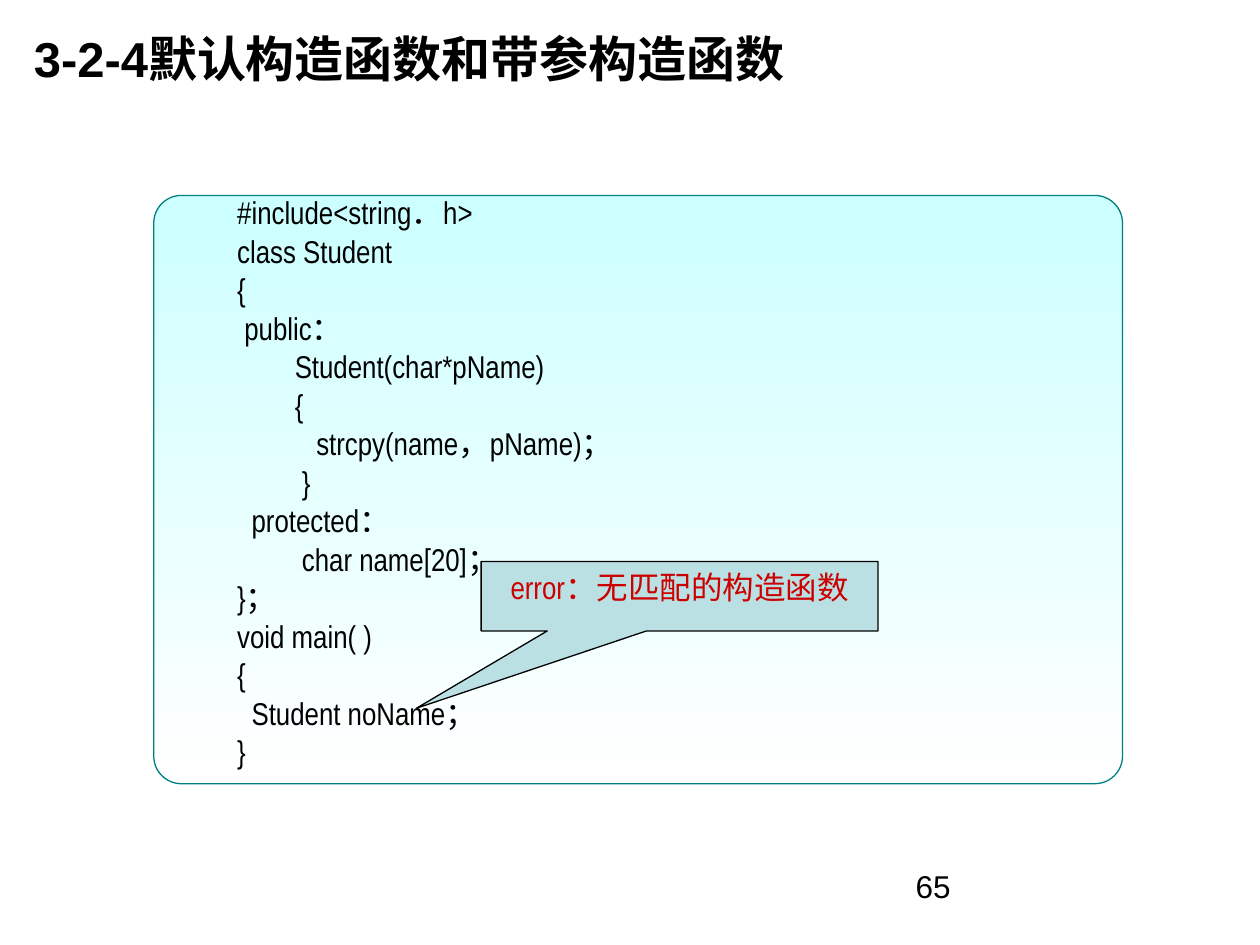
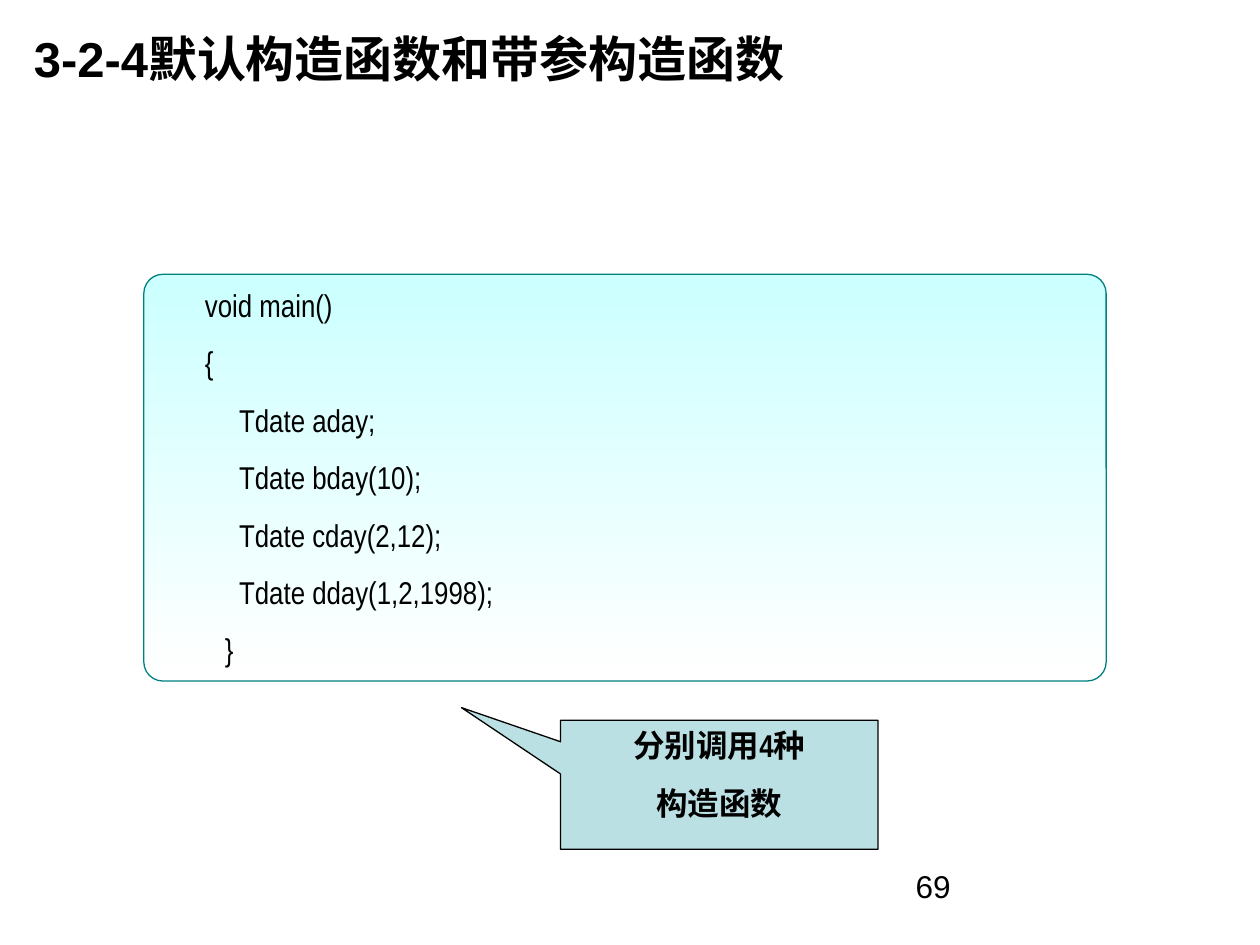
from pptx import Presentation
from pptx.dml.color import RGBColor
from pptx.enum.shapes import MSO_SHAPE
from pptx.enum.text import MSO_ANCHOR, MSO_AUTO_SIZE, PP_ALIGN
from pptx.util import Cm, Pt

ROUNDED = MSO_SHAPE.ROUNDED_RECTANGLE
CALLOUT = MSO_SHAPE.RECTANGULAR_CALLOUT
TOP, MIDDLE = MSO_ANCHOR.TOP, MSO_ANCHOR.MIDDLE
LEFT, CENTER = PP_ALIGN.LEFT, PP_ALIGN.CENTER
NO_FIT, GROW = MSO_AUTO_SIZE.NONE, MSO_AUTO_SIZE.SHAPE_TO_FIT_TEXT

BLACK = RGBColor(0x00, 0x00, 0x00)
WHITE = RGBColor(0xFF, 0xFF, 0xFF)
RED = RGBColor(0xCC, 0x00, 0x00)
TEAL = RGBColor(0x00, 0x80, 0x80)
PALE_CYAN = RGBColor(0xCC, 0xFF, 0xFF)
PALE_BLUE = RGBColor(0xBB, 0xE0, 0xE3)

TITLE = "3-2-4默认构造函数和带参构造函数"
SPACE_BEFORE = Pt(11.2)
CODE_MARGIN = 1.27
COLUMN = 0.145

SLIDES = [
    {
        "number": "65",
        "code_box": (3.1, 3.94, 19.53, 11.86),
        "line_spacing": 0.5,
        "code": [
            (0, "#include<string．h>"),
            (0, "class Student"),
            (0, "{"),
            (1, "public："),
            (8, "Student(char*pName)"),
            (8, "{"),
            (11, "strcpy(name，pName)；"),
            (9, "}"),
            (2, "protected："),
            (9, "char name[20]；"),
            (0, "}；"),
            (0, "void main( )"),
            (0, "{"),
            (2, "Student noName；"),
            (0, "}"),
        ],
        "callout_box": (9.7, 11.32, 8.0, 1.4),
        "pointer": (-0.663, 1.613),
        "callout": ["error：无匹配的构造函数"],
        "callout_color": RED,
        "callout_bold": False,
    },
    {
        "number": "69",
        "code_box": (2.9, 5.53, 19.4, 8.2),
        "line_spacing": None,
        "code": [
            (-2.75, "void main()"),
            (-2.75, "{"),
            (2, "Tdate aday;"),
            (2, "Tdate bday(10);"),
            (2, "Tdate cday(2,12);"),
            (2, "Tdate dday(1,2,1998);"),
            (0, "}"),
        ],
        "callout_box": (11.3, 14.52, 6.4, 2.6),
        "pointer": (-0.812, -0.598),
        "callout": ["分别调用4种", "构造函数"],
        "callout_color": BLACK,
        "callout_bold": True,
    },
]


def add_line(frame, index, text, font_name, size, color, bold=False, align=LEFT):
    paragraph = frame.add_paragraph() if index else frame.paragraphs[0]
    paragraph.alignment = align
    run = paragraph.add_run()
    run.text = text
    run.font.name = font_name
    run.font.size = Pt(size)
    run.font.bold = bold
    run.font.color.rgb = color
    return paragraph


def add_panel(slide, kind, box, line_color):
    panel = slide.shapes.add_shape(kind, *map(Cm, box))
    panel.shadow.inherit = False
    panel.line.color.rgb = line_color
    panel.line.width = Pt(0.75)
    panel.text_frame.word_wrap = True
    panel.text_frame.vertical_anchor = TOP
    return panel


presentation = Presentation()
presentation.slide_width = Cm(25.4)
presentation.slide_height = Cm(19.05)
title_only = presentation.slide_layouts[5]

for content in SLIDES:
    slide = presentation.slides.add_slide(title_only)

    title = slide.shapes.title
    title.left, title.top, title.width, title.height = map(Cm, (0.43, 0, 19.05, 2.34))
    title.text_frame.vertical_anchor = MIDDLE
    title.text_frame.auto_size = NO_FIT
    add_line(title.text_frame, 0, TITLE, "Arial", 28, BLACK, bold=True)

    code_panel = add_panel(slide, ROUNDED, content["code_box"], TEAL)
    code_panel.adjustments[0] = 0.047
    code_panel.fill.gradient()
    code_panel.fill.gradient_angle = 270
    for stop, position, color in zip(code_panel.fill.gradient_stops, (0, 1), (PALE_CYAN, WHITE)):
        stop.position = position
        stop.color.rgb = color
    code_panel.text_frame.auto_size = GROW
    for index, (columns, text) in enumerate(content["code"]):
        paragraph = add_line(code_panel.text_frame, index, text, "Arial Narrow", 18, BLACK)
        paragraph.space_before = SPACE_BEFORE
        paragraph.line_spacing = content["line_spacing"]
        properties = paragraph._p.get_or_add_pPr()
        properties.set("marL", str(Cm(CODE_MARGIN + columns * COLUMN)))
        properties.set("indent", "0")

    callout = add_panel(slide, CALLOUT, content["callout_box"], BLACK)
    callout.fill.solid()
    callout.fill.fore_color.rgb = PALE_BLUE
    callout.adjustments[0], callout.adjustments[1] = content["pointer"]
    for index, text in enumerate(content["callout"]):
        paragraph = add_line(callout.text_frame, index, text, "Arial Narrow", 18,
                             content["callout_color"], content["callout_bold"], CENTER)
        paragraph.space_before = SPACE_BEFORE

    number_box = slide.shapes.add_textbox(Cm(18.21), Cm(17.35), Cm(5.92), Cm(1.32))
    number_box.text_frame.word_wrap = True
    add_line(number_box.text_frame, 0, content["number"], "Arial", 18, BLACK)

presentation.save("out.pptx")
